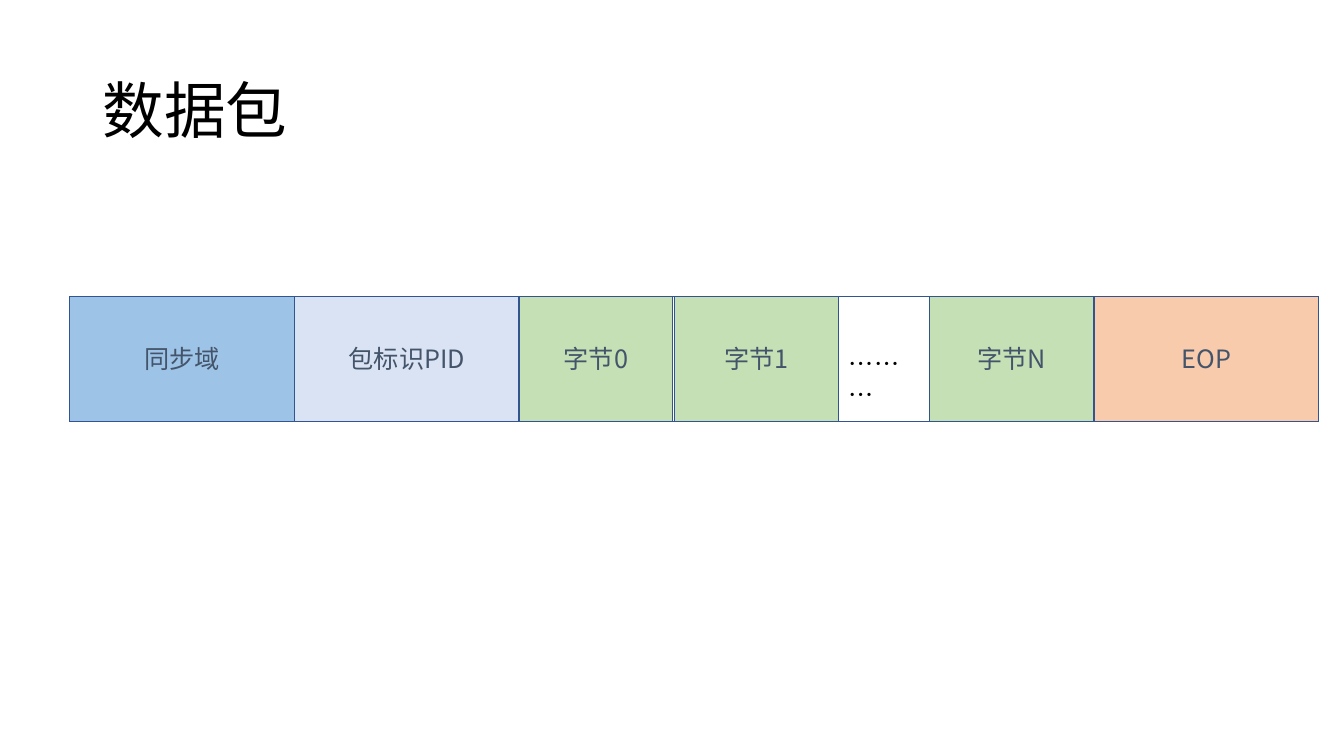
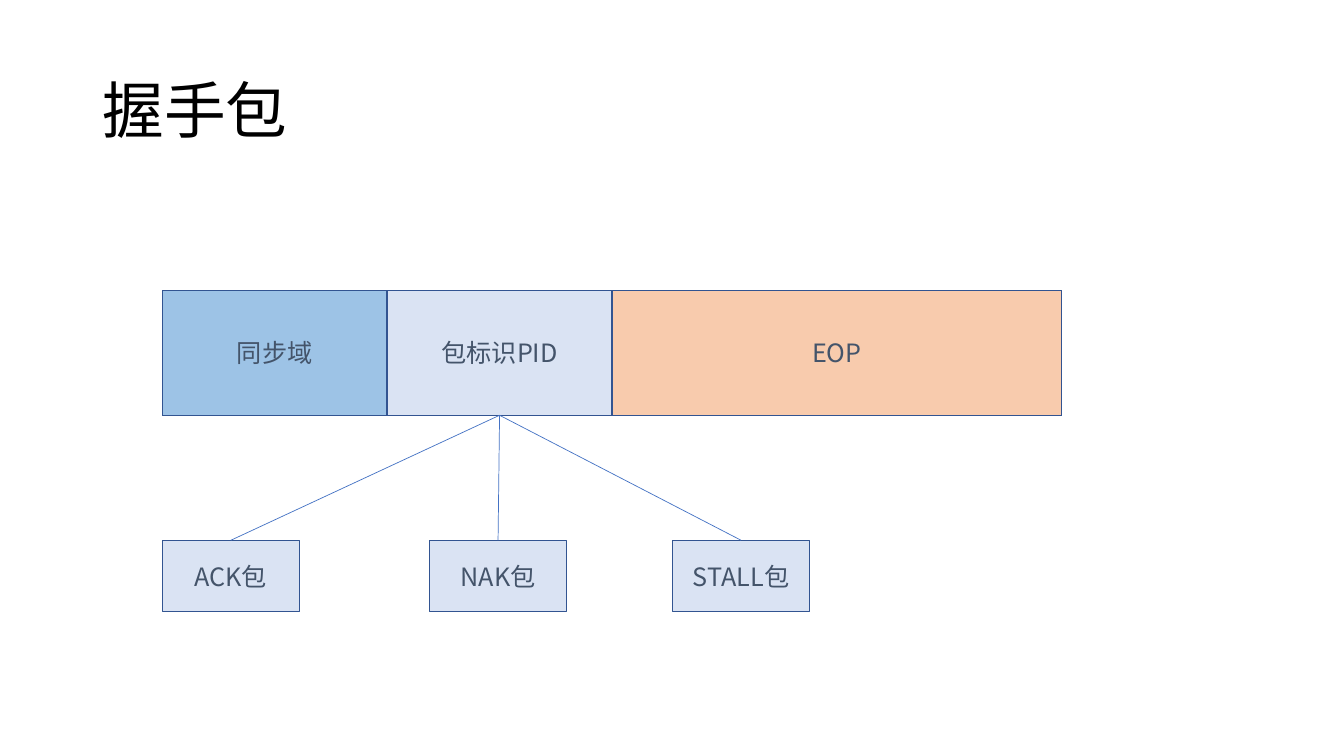
from dataclasses import dataclass

import lxml.etree
import pptx
import pptx.dml.color
import pptx.enum.shapes
import pptx.enum.text
import pptx.oxml.ns
import pptx.util

Inches = pptx.util.Inches
ANCHOR = pptx.enum.text.MSO_ANCHOR
ALIGN = pptx.enum.text.PP_ALIGN


@dataclass(frozen=True)
class Theme:
    font: str = "Noto Sans CJK SC"
    title_size: int = 44
    body_size: int = 18
    border_width: float = 1
    branch_width: float = 0.5
    black: str = "000000"
    label: str = "44546A"
    border: str = "325491"
    branch: str = "4472C4"
    frame: str = "FFFFFF"
    sync: str = "9DC3E6"
    pid: str = "DAE3F3"
    data: str = "C5E0B4"
    eop: str = "F8CBAD"


THEME = Theme()
FIELD_WIDTH = 2.23
BYTE_WIDTH = 1.63
PACKET_HEIGHT = 1.24
SYNC_FIELD = ("同步域", FIELD_WIDTH, THEME.sync)
PID_FIELD = ("包标识PID", FIELD_WIDTH, THEME.pid)


def rgb(value):
    return pptx.dml.color.RGBColor.from_string(value)


def set_text(shape, text, size, color, align=ALIGN.LEFT, anchor=ANCHOR.MIDDLE):
    frame = shape.text_frame
    frame.text = text
    frame.word_wrap = True
    frame.vertical_anchor = anchor
    paragraph = frame.paragraphs[0]
    paragraph.alignment = align
    font = paragraph.runs[0].font
    font.name = THEME.font
    font.size = pptx.util.Pt(size)
    font.color.rgb = rgb(color)
    # East Asian characters take their own typeface setting
    east_asian = lxml.etree.SubElement(
        paragraph.runs[0].font._element, pptx.oxml.ns.qn("a:ea"))
    east_asian.set("typeface", THEME.font)
    return paragraph


def add_text(slide, text, left, top, width, height, size, anchor):
    box = slide.shapes.add_textbox(*map(Inches, (left, top, width, height)))
    return set_text(box, text, size, THEME.black, anchor=anchor)


def add_title_slide(deck, title):
    slide = deck.slides.add_slide(deck.slide_layouts[6])
    paragraph = add_text(slide, title, 0.92, 0.4, 11.5, 1.45,
                         THEME.title_size, ANCHOR.MIDDLE)
    paragraph.line_spacing = 0.9
    return slide


def add_box(slide, left, top, width, height, fill, label=None):
    box = slide.shapes.add_shape(
        pptx.enum.shapes.MSO_SHAPE.RECTANGLE,
        *map(Inches, (left, top, width, height)))
    box.shadow.inherit = False
    box.fill.solid()
    box.fill.fore_color.rgb = rgb(fill)
    box.line.color.rgb = rgb(THEME.border)
    box.line.width = pptx.util.Pt(THEME.border_width)
    if label:
        set_text(box, label, THEME.body_size, THEME.label, ALIGN.CENTER)
    return box


def add_packet(slide, left, top, fields):
    """Lay fields side by side in a frame; a field without fill is a gap."""
    total = sum(width for _, width, _ in fields)
    add_box(slide, left, top, total, PACKET_HEIGHT, THEME.frame)
    boxes = {}
    for label, width, fill in fields:
        if fill:
            boxes[label] = add_box(slide, left, top, width, PACKET_HEIGHT,
                                   fill, label)
        elif label:
            add_text(slide, label, left, top + 0.47, width - 0.02, 0.4,
                     THEME.body_size, ANCHOR.TOP)
        left += width
    return boxes


def add_branch(slide, parent, child):
    branch = slide.shapes.add_connector(
        pptx.enum.shapes.MSO_CONNECTOR.STRAIGHT, 0, 0, 0, 0)
    branch.begin_connect(parent, 2)
    branch.end_connect(child, 0)
    branch.line.color.rgb = rgb(THEME.branch)
    branch.line.width = pptx.util.Pt(THEME.branch_width)
    lxml.etree.SubElement(branch._element.spPr,
                          pptx.oxml.ns.qn("a:effectLst"))


def build_data_packet(deck):
    slide = add_title_slide(deck, "数据包")
    add_packet(slide, 0.69, 2.94, [
        SYNC_FIELD,
        PID_FIELD,
        ("字节0", 1.52, THEME.data),
        (None, 0.02, None),
        ("字节1", BYTE_WIDTH, THEME.data),
        ("………", 0.9, None),
        ("字节N", BYTE_WIDTH, THEME.data),
        ("EOP", FIELD_WIDTH, THEME.eop),
    ])


def build_handshake_packet(deck):
    slide = add_title_slide(deck, "握手包")
    fields = add_packet(slide, 1.61, 2.88, [
        SYNC_FIELD,
        PID_FIELD,
        ("EOP", 2 * FIELD_WIDTH, THEME.eop),
    ])
    # Handshake types that the PID can name
    for label, left in (("ACK包", 1.61), ("NAK包", 4.26), ("STALL包", 6.67)):
        kind = add_box(slide, left, 5.36, 1.36, 0.71, THEME.pid, label)
        add_branch(slide, fields[PID_FIELD[0]], kind)


def main():
    deck = pptx.Presentation()
    deck.slide_width = Inches(13.33)
    deck.slide_height = Inches(7.5)
    build_data_packet(deck)
    build_handshake_packet(deck)
    deck.save("out.pptx")


if __name__ == "__main__":
    main()
